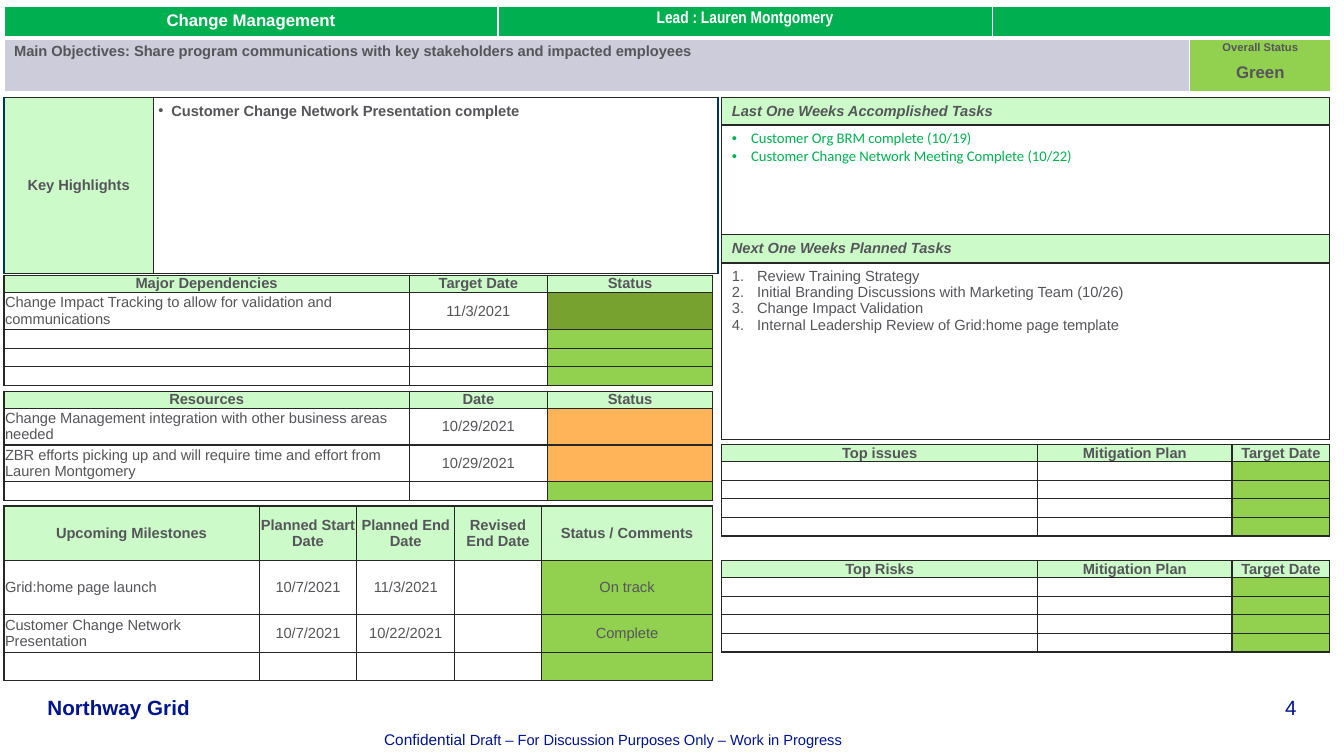
from lxml import etree
from pptx import Presentation
from pptx.dml.color import RGBColor
from pptx.enum.text import MSO_ANCHOR as Anchor, PP_ALIGN as Align
from pptx.oxml.ns import qn
from pptx.util import Inches, Pt

GREY, DARK, NAVY, WHITE = "55555A", "272726", "00148C", "FFFFFF"
MINT, LIME, GREEN, OLIVE, AMBER = "CCFBC9", "92D050", "00B050", "78A22F", "FFB45A"
rgb = RGBColor.from_string

deck = Presentation()
deck.slide_width, deck.slide_height = Inches(13.33), Inches(7.5)
slide = deck.slides.add_slide(deck.slide_layouts[6])


def grid(left, top, cols, rows, edge=DARK):
    """Add a white table with a line around every cell."""
    frame = slide.shapes.add_table(len(rows), len(cols), Inches(left), Inches(top),
                                   Inches(sum(cols)), Inches(sum(rows)))
    table = frame.table
    table.first_row = table.horz_banding = False
    for col, width in zip(table.columns, cols):
        col.width = Inches(width)
    for row, height in zip(table.rows, rows):
        row.height = Inches(height)
    for cell in table.iter_cells():
        props = cell._tc.get_or_add_tcPr()
        for side in "LRTB":
            line = etree.SubElement(props, qn("a:ln" + side), w=str(Pt(1)))
            fill = etree.SubElement(line, qn("a:solidFill"))
            etree.SubElement(fill, qn("a:srgbClr"), val=edge)
        cell.fill.solid()
        cell.fill.fore_color.rgb = rgb(WHITE)
    return table


def put(cell, text="", fill=WHITE, bold=False, align=Align.CENTER, pad=(0, 0),
        anchor=Anchor.MIDDLE, color=GREY, size=10.5, font="Arial", italic=False,
        bullet=None, indent=0):
    """Fill a cell, with one paragraph for each line of text."""
    cell.fill.fore_color.rgb = rgb(fill)
    cell.margin_left = cell.margin_right = Inches(pad[0])
    cell.margin_top = cell.margin_bottom = Inches(pad[1])
    cell.vertical_anchor = anchor
    cell.text_frame.text = text
    for para in cell.text_frame.paragraphs:
        para.alignment = align
        if bullet:
            props = para._p.get_or_add_pPr()
            props.set("marL", str(Inches(indent)))
            props.set("indent", str(-Inches(indent)))
            if bullet == "1.":
                etree.SubElement(props, qn("a:buAutoNum"), type="arabicPeriod")
            else:
                etree.SubElement(props, qn("a:buFont"), typeface="Arial")
                etree.SubElement(props, qn("a:buChar"), char=bullet)
        for run in para.runs:
            run.font.size, run.font.name = Pt(size), font
            run.font.bold, run.font.italic = bold, italic
            run.font.color.rgb = rgb(color)
        if not para.runs:
            para._p.get_or_add_endParaRPr().set("sz", str(int(size * 100)))


# Heading band
head = grid(0.04, 0.06, [4.9, 4.9, 1.96, 1.4], [0.32, 0.54], WHITE)
for line in head._tbl.iter(qn("a:lnB")):
    line.set("w", str(Pt(3)))
head.cell(0, 2).merge(head.cell(0, 3))
head.cell(1, 0).merge(head.cell(1, 2))
band = dict(fill=GREEN, color=WHITE, size=12, bold=True, pad=(0.1, 0.05),
            anchor=Anchor.TOP)
put(head.cell(0, 0), "Change Management", **band)
put(head.cell(0, 1), "Lead : Lauren Montgomery", font="Arial Narrow", **band)
put(head.cell(0, 2), **band)
put(head.cell(1, 0), "Main Objectives: Share program communications with key "
    "stakeholders and impacted employees", "CCCCDA", True, Align.LEFT, (0.1, 0.05),
    Anchor.TOP)
state = head.cell(1, 3)
put(state, "Overall Status\nGreen", LIME, True, pad=(0.1, 0.03), anchor=Anchor.TOP, size=8)
last = state.text_frame.paragraphs[1]
last.space_before = Pt(7)
last.runs[0].font.size = Pt(12)

# Key highlights
high = grid(0.04, 0.97, [1.48, 5.6], [1.74])
put(high.cell(0, 0), "Key Highlights", MINT, True, pad=(0.05, 0.05))
put(high.cell(0, 1), "Customer Change Network Presentation complete", WHITE, True,
    Align.LEFT, (0.05, 0.05), Anchor.TOP, bullet="•", indent=0.13)
for cell, side in [(high.cell(0, 0), "L"), (high.cell(0, 1), "R")]:
    line = cell._tc.tcPr.find(qn("a:ln" + side))
    line.set("w", str(Pt(1.5)))
    line.find(".//" + qn("a:srgbClr")).set("val", "003366")

# Weekly tasks
week = grid(7.16, 0.97, [6.03], [0.27, 1.09, 0.28, 1.75])
side = dict(align=Align.LEFT, pad=(0.1, 0.05), anchor=Anchor.TOP)
for row, text in [(0, "Last One Weeks Accomplished Tasks"),
                  (2, "Next One Weeks Planned Tasks")]:
    put(week.cell(row, 0), text, MINT, True, italic=True, **side)
put(week.cell(1, 0), "Customer Org BRM complete (10/19)\n"
    "Customer Change Network Meeting Complete (10/22)",
    color=GREEN, font="Calibri", bullet="•", indent=0.19, **side)
put(week.cell(3, 0), "Review Training Strategy\n"
    "Initial Branding Discussions with Marketing Team (10/26)\n"
    "Change Impact Validation\n"
    "Internal Leadership Review of Grid:home page template",
    bullet="1.", indent=0.25, **side)

# Status tables: left, top, columns, row heights, heads, rows ending in a colour
left, right = [4.02, 1.37, 1.64], [3.13, 1.93, 0.97]
slim = [0.17] + [0.185] * 4
bare = ["", "", "", LIME]
plan = ["Mitigation Plan", "Target Date"]
lists = [
    (0.04, 2.73, left, [0.17, 0.37] + [0.185] * 3,
     ["Major Dependencies", "Target Date", "Status"],
     [["Change Impact Tracking to allow for validation and communications",
       "11/3/2021", "", OLIVE]] + [bare] * 3),
    (0.04, 3.88, left, [0.17, 0.365, 0.365, 0.185],
     ["Resources", "Date", "Status"],
     [["Change Management integration with other business areas needed",
       "10/29/2021", "", AMBER],
      ["ZBR efforts picking up and will require time and effort from Lauren Montgomery",
       "10/29/2021", "", AMBER], bare]),
    (0.04, 5.02, [2.53, 0.97, 0.97, 0.86, 1.7], [0.54, 0.54, 0.37, 0.28],
     ["Upcoming Milestones", "Planned Start Date", "Planned End Date",
      "Revised End Date", "Status / Comments"],
     [["Grid:home page launch", "10/7/2021", "11/3/2021", "", "On track", LIME],
      ["Customer Change Network Presentation", "10/7/2021", "10/22/2021", "",
       "Complete", LIME], [""] * 5 + [LIME]]),
    (7.16, 4.41, right, slim, ["Top issues"] + plan, [bare] * 4),
    (7.16, 5.56, right, slim, ["Top Risks"] + plan, [bare] * 4),
]
for x, y, cols, highs, heads, rows in lists:
    table = grid(x, y, cols, highs)
    for col, text in enumerate(heads):
        put(table.cell(0, col), text, MINT, True)
    for row, (*texts, tint) in enumerate(rows, 1):
        for col, text in enumerate(texts):
            put(table.cell(row, col), text, tint if col == len(cols) - 1 else WHITE,
                align=Align.CENTER if col else Align.LEFT, pad=(0.01, 0))

# Footer
notes = [
    (0.47, 6.89, 1.6, 0.25, Align.LEFT, [("Northway Grid", 14.7, True)]),
    (12.08, 6.89, 0.78, 0.25, Align.RIGHT, [("4", 14.7, False)]),
    (3.81, 7.24, 7.3, 0.19, Align.LEFT,
     [("Confidential", 11, False),
      (" Draft – For Discussion Purposes Only – Work in Progress", 10.5, False)]),
]
for x, y, wide, high, align, parts in notes:
    frame = slide.shapes.add_textbox(Inches(x), Inches(y), Inches(wide),
                                     Inches(high)).text_frame
    frame.margin_left = frame.margin_right = frame.margin_top = frame.margin_bottom = 0
    frame.word_wrap = True
    frame.vertical_anchor = Anchor.BOTTOM
    para = frame.paragraphs[0]
    para.alignment = align
    for text, size, bold in parts:
        run = para.add_run()
        run.text = text
        run.font.size, run.font.name, run.font.bold = Pt(size), "Arial", bold
        run.font.color.rgb = rgb(NAVY)

deck.save("out.pptx")
